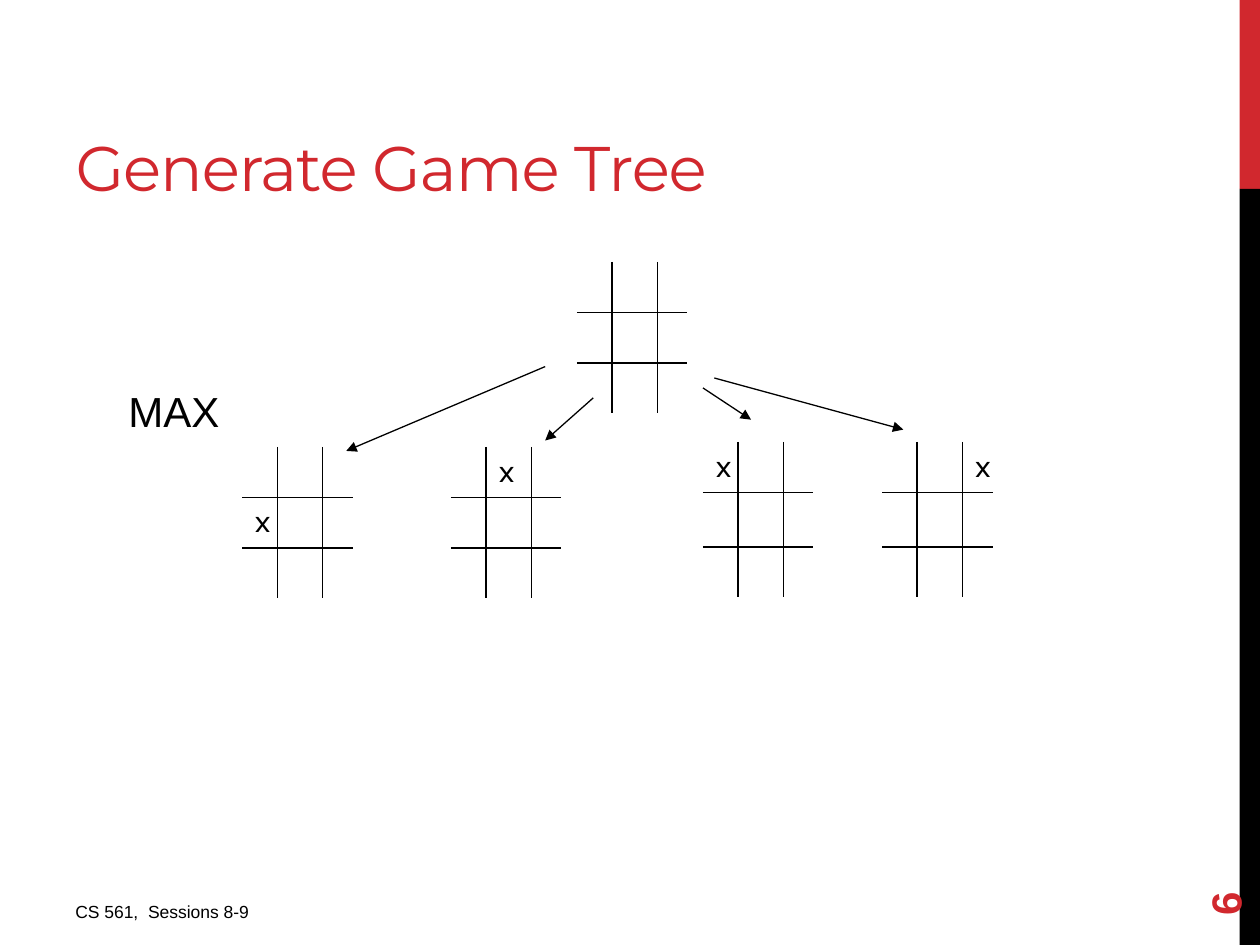
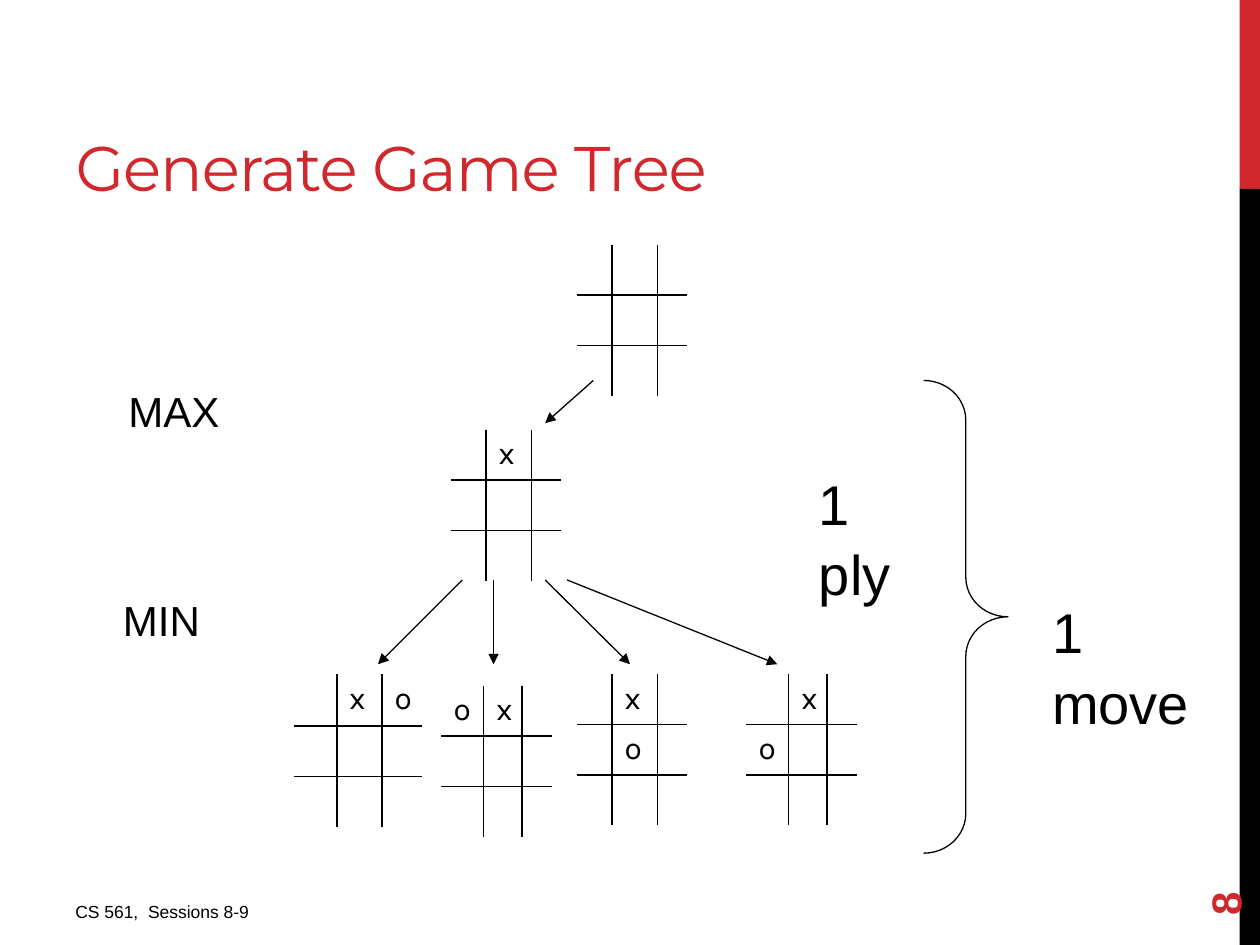
from lxml import etree
from pptx import Presentation
from pptx.dml.color import RGBColor
from pptx.enum import shapes, text
from pptx.oxml import ns
from pptx.util import Cm, Pt

RED, BLACK = "D1282E", "000000"
TITLE_FONT, TEXT_FONT, MARK_FONT = "Montserrat", "Arial", "Karla"
NO_TABLE_STYLE = "{2D5ABB26-0587-4C30-8999-92F81FD0307C}"
TITLE_BOX = (1.27, 0.43, 16.08, 3.81)
ROOT_LEFT = 11.63

# Column widths and row heights of the boards
COLUMNS = (0.71, 0.91, 0.6)
SHIFTED_COLUMNS = (0.86, 0.77, 0.6)
WIDE_COLUMNS = (0.87, 0.91, 0.81)
ROWS = (1, 1, 1)
TALL_ROWS = (1, 1.1, 1)
WIDE_ROWS = (1.05, 1, 1)


def color(hex_code):
    return RGBColor.from_string(hex_code)


def cm(*lengths):
    return [Cm(length) for length in lengths]


def add_run(paragraph, words, size, font=TEXT_FONT, hex_code=BLACK, bold=False):
    run = paragraph.add_run()
    run.text = words
    run.font.size, run.font.name, run.font.bold = Pt(size), font, bold
    run.font.color.rgb = color(hex_code)
    return run


def add_label(slide, box, words, size, align=text.PP_ALIGN.LEFT, spacing=1.0, **style):
    label = slide.shapes.add_textbox(*cm(*box))
    label.text_frame.word_wrap = True
    paragraph = label.text_frame.paragraphs[0]
    paragraph.alignment, paragraph.line_spacing = align, spacing
    add_run(paragraph, words, size, **style)
    return label


# Shared frame: side band, title, footer, page number
def add_side_band(slide, layout):
    for top, height, hex_code in ((0, 3.81, RED), (3.81, 15.24, BLACK)):
        band = slide.shapes.add_shape(shapes.MSO_SHAPE.RECTANGLE, *cm(24.99, top, 0.41, height))
        band.shadow.inherit = False
        band.fill.solid()
        band.fill.fore_color.rgb = color(hex_code)
        band.line.fill.background()
        layout.shapes._spTree.append(band._element)


def add_tree_slide(prs, layout, page):
    slide = prs.slides.add_slide(layout)
    title = slide.shapes.title
    title.left, title.top, title.width, title.height = cm(*TITLE_BOX)
    frame = title.text_frame
    frame.vertical_anchor = text.MSO_ANCHOR.BOTTOM
    frame.auto_size = text.MSO_AUTO_SIZE.NONE
    frame.paragraphs[0].alignment = text.PP_ALIGN.LEFT
    run = add_run(frame.paragraphs[0], "Generate Game Tree", 36, TITLE_FONT, RED)
    run.font._element.set("spc", "-60")

    # The double space after the comma is part of the footer wording
    add_label(slide, (1.27, 18.03, 9.53, 0.79), "CS 561,  Sessions 8-9", 10)
    number = add_label(slide, (22.86, 16.36, 3.66, 1.02), page, 24, hex_code=RED, bold=True)
    number.rotation = 270
    number.text_frame.vertical_anchor = text.MSO_ANCHOR.MIDDLE
    return slide


# Game tree: boards and arrows, measured from the corner of the root board
def draw_inner_borders(cell, row, col):
    cell.fill.background()
    inner = {"lnL": col > 0, "lnR": col < 2, "lnT": row > 0, "lnB": row < 2}
    edges = [edge for edge, shown in inner.items() if shown]
    for place, edge in enumerate(edges):
        border = etree.Element(ns.qn(f"a:{edge}"), w=str(Pt(1)))
        fill = etree.SubElement(border, ns.qn("a:solidFill"))
        etree.SubElement(fill, ns.qn("a:srgbClr"), val=BLACK)
        cell._tc.get_or_add_tcPr().insert(place, border)


def add_board(slide, left, top, marks="... ... ...", columns=COLUMNS, rows=ROWS):
    box = cm(left, top, sum(columns), sum(rows))
    board = slide.shapes.add_table(3, 3, *box).table
    board.first_row = board.horz_banding = False
    board._tbl.tblPr.find(ns.qn("a:tableStyleId")).text = NO_TABLE_STYLE
    for index in range(3):
        board.columns[index].width = Cm(columns[index])
        board.rows[index].height = Cm(rows[index])
    for row, line in enumerate(marks.split()):
        for col, mark in enumerate(line):
            cell = board.cell(row, col)
            draw_inner_borders(cell, row, col)
            if mark != ".":
                add_run(cell.text_frame.paragraphs[0], mark, 18, MARK_FONT)


def add_arrow(slide, x1, y1, x2, y2):
    arrow = slide.shapes.add_connector(shapes.MSO_CONNECTOR.STRAIGHT, *cm(x1, y1, x2, y2))
    arrow.line.color.rgb = color(BLACK)
    arrow.line.width = Pt(0.75)
    etree.SubElement(arrow.line._get_or_add_ln(), ns.qn("a:tailEnd"), type="triangle")
    etree.SubElement(arrow._element.spPr, ns.qn("a:effectLst"))


def add_tree(slide, top, boards, arrows):
    add_board(slide, ROOT_LEFT, top)
    for dx, dy, *layout in boards:
        add_board(slide, ROOT_LEFT + dx, top + dy, *layout)
    for x1, y1, x2, y2 in arrows:
        add_arrow(slide, ROOT_LEFT + x1, top + y1, ROOT_LEFT + x2, top + y2)


def add_player(slide, left, top, player):
    add_label(slide, (left, top, 4.37, 1.27), player, 24, text.PP_ALIGN.CENTER, 1.05)


def add_move_brace(slide, left, top, width, height):
    brace = slide.shapes.add_shape(shapes.MSO_SHAPE.RIGHT_BRACE, *cm(left, top, width, height))
    brace.shadow.inherit = False
    brace.adjustments[0], brace.adjustments[1] = 0.47, 0.5
    brace.fill.background()
    brace.line.color.rgb = color(BLACK)
    brace.line.width = Pt(0.75)
    add_label(slide, (left - 2.36, top + 1.6, 2.31, 2.7), "1 ply", 32, spacing=1.05)
    add_label(slide, (left + 2.34, top + 4.19, 3.3, 2.7), "1 move", 32, spacing=1.05)


FIRST_MOVE = (-2.54, 3.73, ".x. ... ...")
FIRST_ARROW = (0.33, 2.74, -0.64, 3.6)


def build_max_slide(prs, layout):
    slide = add_tree_slide(prs, layout, "6")
    boards = [
        FIRST_MOVE,
        (2.54, 3.63, "x.. ... ...", COLUMNS, TALL_ROWS),
        (6.15, 3.63, "..x ... ...", COLUMNS, TALL_ROWS),
        (-6.75, 3.73, "... x.. ..."),
    ]
    arrows = [
        (-0.64, 2.11, -4.65, 3.81),
        FIRST_ARROW,
        (2.54, 2.54, 3.51, 3.18),
        (2.77, 2.34, 6.58, 3.38),
    ]
    add_tree(slide, 5.28, boards, arrows)
    add_player(slide, 1.32, 7.59, "MAX")
    return slide


def build_min_slide(prs, layout):
    slide = add_tree_slide(prs, layout, "8")
    boards = [
        FIRST_MOVE,
        (-2.74, 8.89, "ox. ... ...", SHIFTED_COLUMNS),
        (0, 8.66, ".x. .o. ..."),
        (3.41, 8.66, ".x. o.. ...", SHIFTED_COLUMNS),
        (-5.71, 8.66, ".xo ... ...", WIDE_COLUMNS, WIDE_ROWS),
    ]
    replies = [(-2.31, -4.01), (-1.68, -1.68), (-0.64, 1.07), (-0.2, 4.04)]
    arrows = [FIRST_ARROW] + [(start, 6.76, end, 8.46) for start, end in replies]
    add_tree(slide, 4.93, boards, arrows)
    add_move_brace(slide, 18.62, 7.67, 1.7, 9.53)
    add_player(slide, 1.32, 7.59, "MAX")
    add_player(slide, 1.07, 11.81, "MIN")


def main():
    prs = Presentation()
    prs.slide_width, prs.slide_height = cm(25.4, 19.05)
    layout = prs.slide_layouts[5]
    max_slide = build_max_slide(prs, layout)
    add_side_band(max_slide, layout)
    build_min_slide(prs, layout)
    prs.save("out.pptx")


if __name__ == "__main__":
    main()
